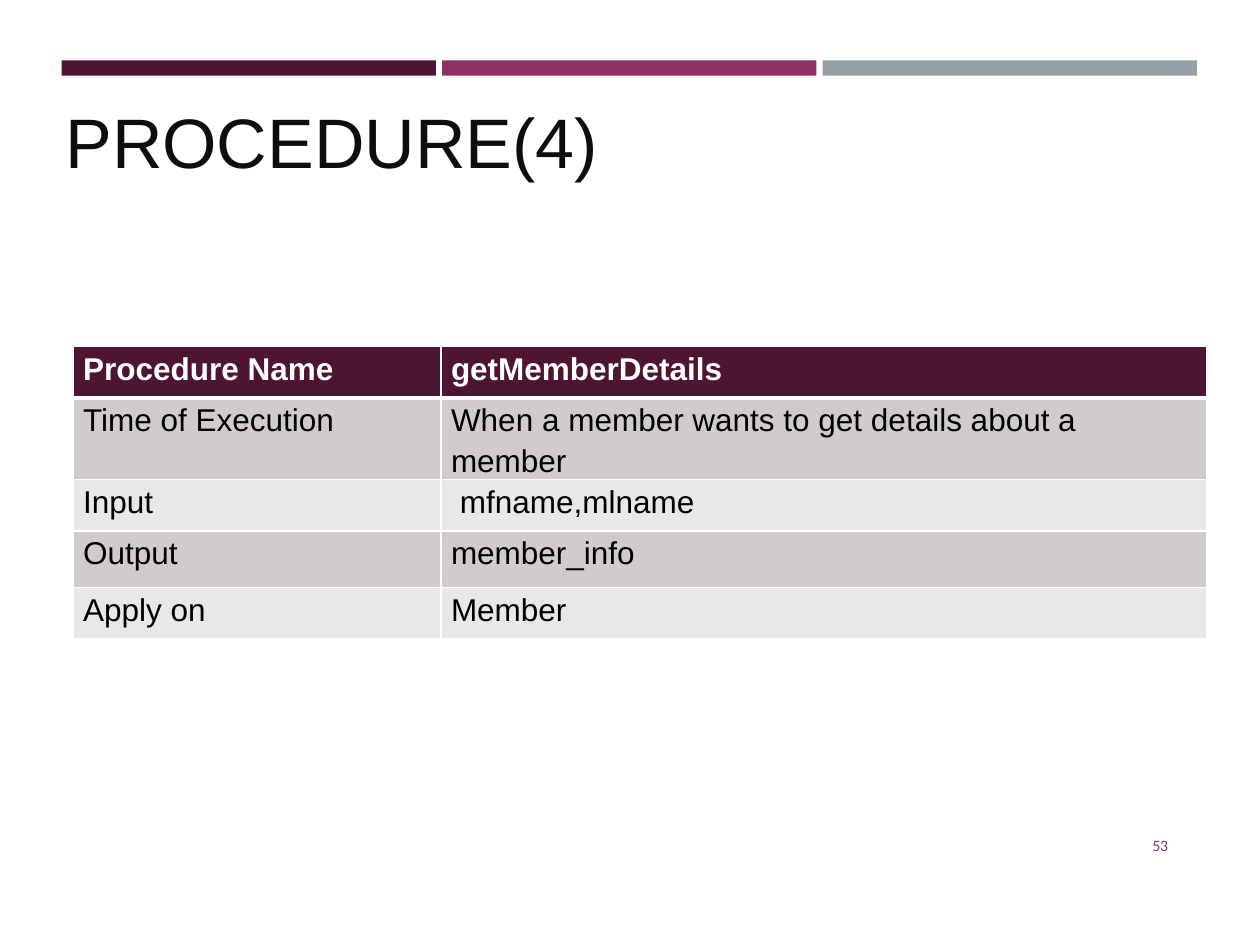
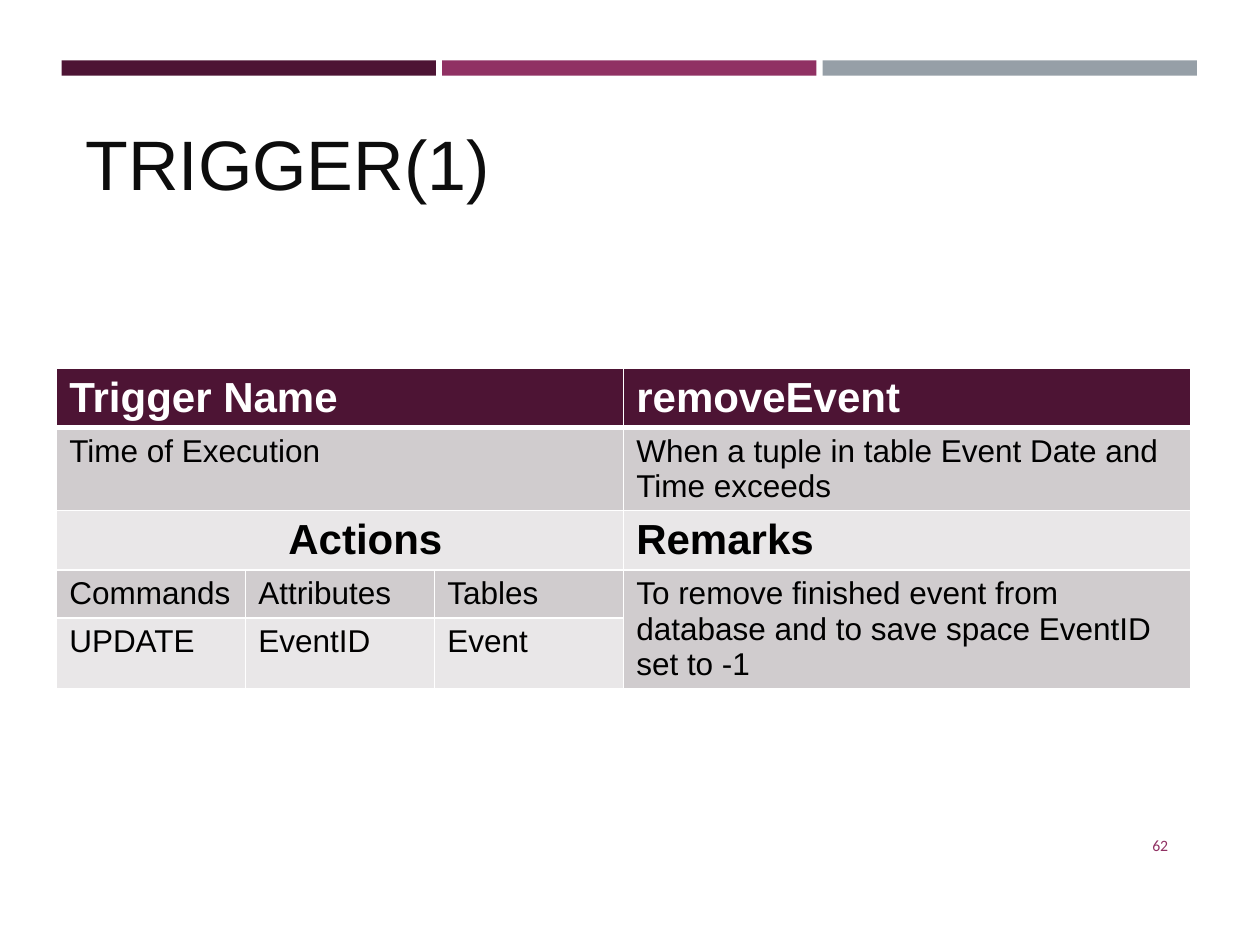
import pptx
import pptx.dml.color
import pptx.enum.shapes
import pptx.enum.text
import pptx.oxml
import pptx.oxml.ns
import pptx.util

Inches = pptx.util.Inches
Pt = pptx.util.Pt
ALIGN = pptx.enum.text.PP_ALIGN
ANCHOR = pptx.enum.text.MSO_ANCHOR

COLORS = {
    "plum": "4D1434", "berry": "903163", "slate": "969FA7", "ink": "0D0D0D",
    "black": "000000", "white": "FFFFFF", "dark_row": "D0CCCE", "light_row": "E9E7E8",
}
BANDS = {"colors": ("plum", "berry", "slate"), "left": 0.49, "right": 9.5,
         "top": 0.48, "height": 0.12, "gap": 0.05}
PAGE_BOX = (8.53, 6.51, 0.84, 0.4)
TITLE_FONT = {"name": "Arial", "size": Pt(40), "bold": False}
PAGE_FONT = {"name": "Calibri", "size": Pt(9)}

SLIDES = [
    {
        "title": "PROCEDURE(4)", "title_box": (0.42, 0.67, 8.74, 0.83), "page": "53",
        "rows": [
            ["Procedure Name", "getMemberDetails"],
            ["Time of Execution", "When a member wants to get details about a member"],
            ["Input", "mfname,mlname"],
            ["Output", "member_info"],
            ["Apply on", "Member"],
        ],
        "corner": (0.58, 2.75), "widths": (2.92, 6.08),
        "heights": (0.41, 0.63, 0.41, 0.45, 0.41),
        "margins": {"margin_left": 0.08, "margin_right": 0.08,
                    "margin_top": 0, "margin_bottom": 0},
        "line_spacing": 1.15, "heading_rows": (0,), "heading_size": 18,
        "merges": (), "indents": {(2, 1): 0.15}, "centered": (),
    },
    {
        "title": "TRIGGER(1)", "title_box": (0.58, 0.75, 8.74, 0.92), "page": "62",
        "rows": [
            ["Trigger Name", "", "", "removeEvent"],
            ["Time of Execution", "", "", "When a tuple in table Event Date and Time exceeds"],
            ["Actions", "", "", "Remarks"],
            ["Commands", "Attributes", "Tables",
             "To remove finished event from database and to save space EventID set to -1"],
            ["UPDATE", "EventID", "Event", ""],
        ],
        "corner": (0.45, 2.92), "widths": (1.5, 1.5, 1.5, 4.5),
        "heights": (0.47, 0.65, 0.47, 0.38, 0.55),
        "margins": {"margin_left": 0.1, "margin_right": 0.1,
                    "margin_top": 0.05, "margin_bottom": 0.05},
        "line_spacing": 1.0, "heading_rows": (0, 2), "heading_size": 24,
        "merges": (((0, 0), (0, 2)), ((1, 0), (1, 2)), ((2, 0), (2, 2)), ((3, 3), (4, 3))),
        "indents": {(2, 0): 0.5}, "centered": ((2, 0),),
    },
]


def rgb(color):
    return pptx.dml.color.RGBColor.from_string(COLORS[color])


def apply(target, values):
    for attribute, value in values.items():
        setattr(target, attribute, value)


def style_font(font, values, color):
    apply(font, values)
    font.color.rgb = rgb(color)


def draw_bands(slide):
    count = len(BANDS["colors"])
    width = (BANDS["right"] - BANDS["left"] - (count - 1) * BANDS["gap"]) / count
    for index, color in enumerate(BANDS["colors"]):
        left = BANDS["left"] + index * (width + BANDS["gap"])
        band = slide.shapes.add_shape(
            pptx.enum.shapes.MSO_SHAPE.RECTANGLE,
            *map(Inches, (left, BANDS["top"], width, BANDS["height"])))
        band.shadow.inherit = False
        band.fill.solid()
        band.fill.fore_color.rgb = rgb(color)
        band.line.fill.background()


def draw_title(slide, content):
    title = slide.shapes.title
    apply(title, dict(zip(("left", "top", "width", "height"),
                          map(Inches, content["title_box"]))))
    title.text = content["title"]
    apply(title.text_frame, {"vertical_anchor": ANCHOR.BOTTOM, "word_wrap": True,
                             "auto_size": pptx.enum.text.MSO_AUTO_SIZE.NONE})
    heading = title.text_frame.paragraphs[0]
    heading.alignment = ALIGN.LEFT
    style_font(heading.runs[0].font, TITLE_FONT, "ink")


def draw_page(slide, number):
    frame = slide.shapes.add_textbox(*map(Inches, PAGE_BOX)).text_frame
    apply(frame, {"text": number, "word_wrap": True, "vertical_anchor": ANCHOR.MIDDLE})
    frame.paragraphs[0].alignment = ALIGN.RIGHT
    style_font(frame.paragraphs[0].runs[0].font, PAGE_FONT, "berry")


def draw_borders(cell, row):
    properties = cell._tc.get_or_add_tcPr()
    thick_side = {0: "B", 1: "T"}.get(row)
    for side in "LRTB":
        width = Pt(3 if side == thick_side else 1)
        properties.append(pptx.oxml.parse_xml(
            f'<a:ln{side} {pptx.oxml.ns.nsdecls("a")} w="{width}"><a:solidFill>'
            f'<a:srgbClr val="{COLORS["white"]}"/></a:solidFill></a:ln{side}>'))


def draw_table(slide, content):
    rows, widths, heights = (content[key] for key in ("rows", "widths", "heights"))
    box = (*content["corner"], sum(widths), sum(heights))
    table = slide.shapes.add_table(len(rows), len(widths), *map(Inches, box)).table
    apply(table, {"first_row": False, "horz_banding": False})
    for column, width in zip(table.columns, widths):
        column.width = Inches(width)
    for line, height in zip(table.rows, heights):
        line.height = Inches(height)
    for start, end in content["merges"]:
        table.cell(*start).merge(table.cell(*end))

    for row, texts in enumerate(rows):
        fill = "plum" if row == 0 else ("light_row", "dark_row")[row % 2]
        ink = "white" if row == 0 else "black"
        heading = row in content["heading_rows"]
        font = {"name": "Arial", "bold": heading,
                "size": Pt(content["heading_size"] if heading else 18)}
        for column, text in enumerate(texts):
            cell = table.cell(row, column)
            draw_borders(cell, row)
            cell.fill.solid()
            cell.fill.fore_color.rgb = rgb(fill)
            apply(cell, {side: Inches(size) for side, size in content["margins"].items()})
            if (row, column) in content["indents"]:
                cell.margin_left = Inches(content["indents"][row, column])
            entry = cell.text_frame.paragraphs[0]
            entry.line_spacing = content["line_spacing"]
            if (row, column) in content["centered"]:
                entry.alignment = ALIGN.CENTER
            style_font(entry.font, font, ink)
            if text:
                wording = entry.add_run()
                wording.text = text
                style_font(wording.font, font, ink)


def main():
    deck = pptx.Presentation()
    apply(deck, {"slide_width": Inches(10), "slide_height": Inches(7.5)})
    title_only = deck.slide_layouts[5]
    for content in SLIDES:
        slide = deck.slides.add_slide(title_only)
        draw_bands(slide)
        draw_title(slide, content)
        draw_table(slide, content)
        draw_page(slide, content["page"])
    deck.save("out.pptx")


if __name__ == "__main__":
    main()
